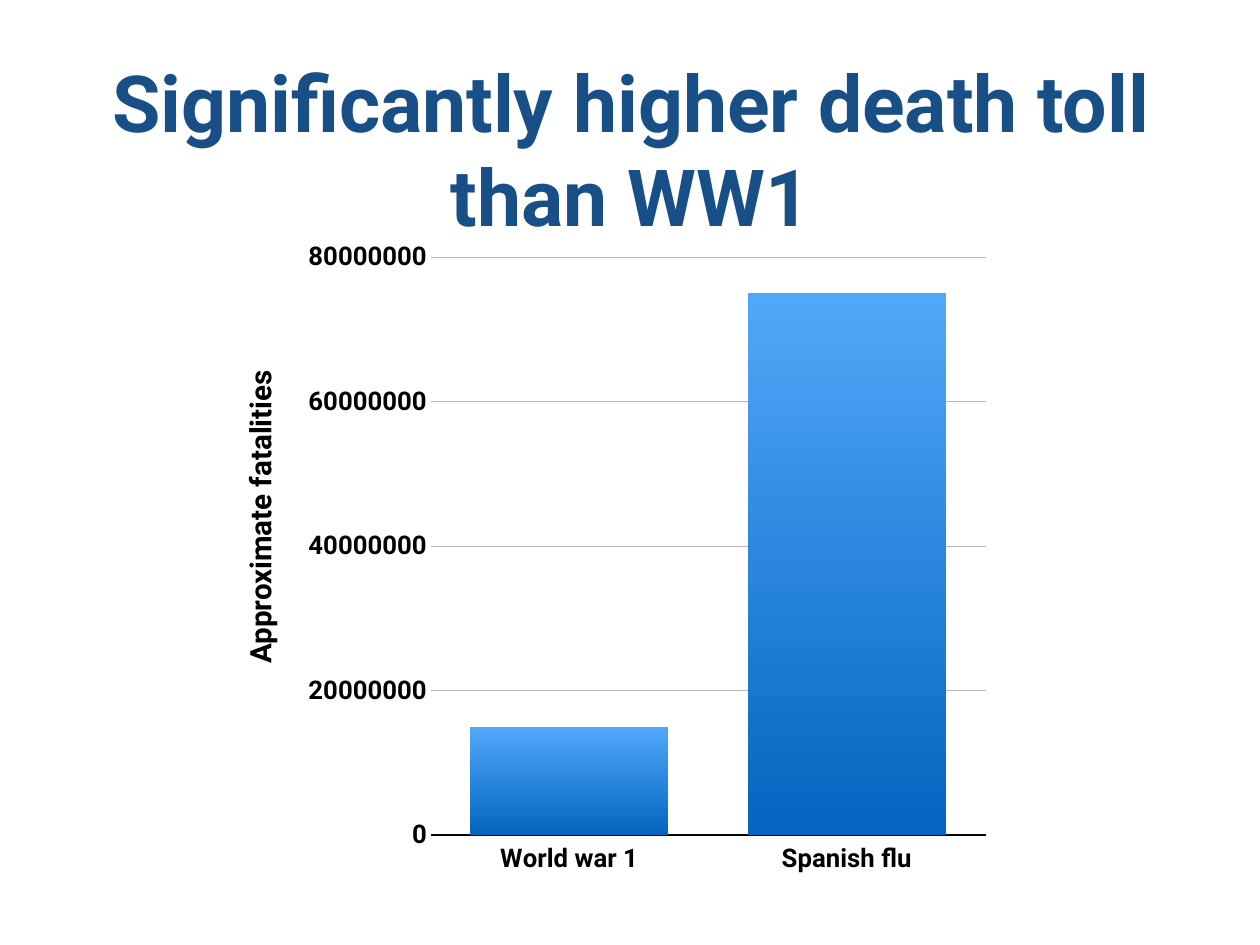
from dataclasses import dataclass

from lxml import etree
from pptx import Presentation
from pptx.chart.data import CategoryChartData
from pptx.dml.color import RGBColor
from pptx.enum.chart import XL_CHART_TYPE, XL_TICK_LABEL_POSITION, XL_TICK_MARK
from pptx.enum.text import MSO_ANCHOR, MSO_AUTO_SIZE, PP_ALIGN
from pptx.oxml.ns import qn
from pptx.util import Inches, Pt

COLUMN = XL_CHART_TYPE.COLUMN_CLUSTERED
LABELS_LOW = XL_TICK_LABEL_POSITION.LOW
NO_TICK = XL_TICK_MARK.NONE
MIDDLE = MSO_ANCHOR.MIDDLE
NO_AUTOFIT = MSO_AUTO_SIZE.NONE
CENTER = PP_ALIGN.CENTER


@dataclass(frozen=True)
class Theme:
    font: str = "Roboto"
    title: RGBColor = RGBColor(0x17, 0x4F, 0x86)
    ink: RGBColor = RGBColor(0, 0, 0)
    grid: RGBColor = RGBColor(0xB8, 0xB8, 0xB8)
    bar_top: RGBColor = RGBColor(0x51, 0xA8, 0xF9)
    bar_bottom: RGBColor = RGBColor(0x03, 0x65, 0xC0)
    title_size: float = 64
    axis_title_size: float = 24
    label_size: float = 20.9


theme = Theme()
presentation = Presentation()
presentation.slide_width = Inches(14.22)
presentation.slide_height = Inches(10.67)
slide = presentation.slides.add_slide(presentation.slide_layouts[5])


def place(left, top, width, height):
    across, down = presentation.slide_width, presentation.slide_height
    return [int(share * side) for share, side in
            ((left, across), (top, down), (width, across), (height, down))]


def style_font(font, size, color):
    font.name = theme.font
    font.size = Pt(size)
    font.bold = True
    font.color.rgb = color


title = slide.shapes.title
title.left, title.top, title.width, title.height = place(0.034, 0.046, 0.933, 0.221)

data = CategoryChartData()
data.categories = ["World war 1", "Spanish flu"]
data.add_series("Series 1", [15000000, 75000000])
chart = slide.shapes.add_chart(COLUMN, *place(0.235, 0.239, 0.55, 0.697), data).chart
chart.has_title = False
chart.has_legend = False
chart.font.name = theme.font
chart.font.size = Pt(10)

for axis in (chart.category_axis, chart.value_axis):
    axis.major_tick_mark = NO_TICK
    axis.minor_tick_mark = NO_TICK
    style_font(axis.tick_labels.font, theme.label_size, theme.ink)

chart.category_axis.tick_label_position = LABELS_LOW
chart.category_axis.format.line.color.rgb = theme.ink
chart.category_axis.format.line.width = Pt(1)

fatalities = chart.value_axis
fatalities.minimum_scale = 0
fatalities.maximum_scale = 80000000
fatalities.major_unit = 20000000
fatalities.tick_labels.number_format = "General"
fatalities.tick_labels.number_format_is_linked = False
fatalities.format.line.fill.background()
fatalities.has_major_gridlines = True
fatalities.major_gridlines.format.line.color.rgb = theme.grid
fatalities.major_gridlines.format.line.width = Pt(0.25)

plot = chart.plots[0]
plot.gap_width = 40
plot.overlap = -10
plot.vary_by_categories = False
bar_fill = plot.series[0].format.fill
bar_fill.gradient()
bar_fill.gradient_angle = 270
for stop, position, color in zip(bar_fill.gradient_stops, (0, 1),
                                 (theme.bar_top, theme.bar_bottom)):
    stop.position = position
    stop.color.rgb = color

plot_area = chart.element.find(".//" + qn("c:plotArea"))
for automatic_layout in plot_area.findall(qn("c:layout")):
    plot_area.remove(automatic_layout)
layout = etree.Element(qn("c:layout"))
plot_area.insert(0, layout)
manual_layout = etree.SubElement(layout, qn("c:manualLayout"))
for setting, value in (("layoutTarget", "inner"), ("xMode", "edge"), ("yMode", "edge"),
                       ("x", "0.194"), ("y", "0.047"), ("w", "0.801"), ("h", "0.878")):
    etree.SubElement(manual_layout, qn("c:" + setting)).set("val", value)

axis_title = slide.shapes.add_textbox(*place(0.079, 0.523, 0.254, 0.048))
axis_title.rotation = 270

for shape, text, size, color, wrap in (
        (title, "Significantly higher death toll than WW1", theme.title_size, theme.title, True),
        (axis_title, "Approximate fatalities", theme.axis_title_size, theme.ink, False)):
    frame = shape.text_frame
    frame.text = text
    frame.word_wrap = wrap
    frame.auto_size = NO_AUTOFIT
    frame.vertical_anchor = MIDDLE
    frame.margin_left = frame.margin_right = Inches(0.06)
    frame.margin_top = frame.margin_bottom = Inches(0.06)
    paragraph = frame.paragraphs[0]
    paragraph.alignment = CENTER
    style_font(paragraph.runs[0].font, size, color)

presentation.save("out.pptx")
